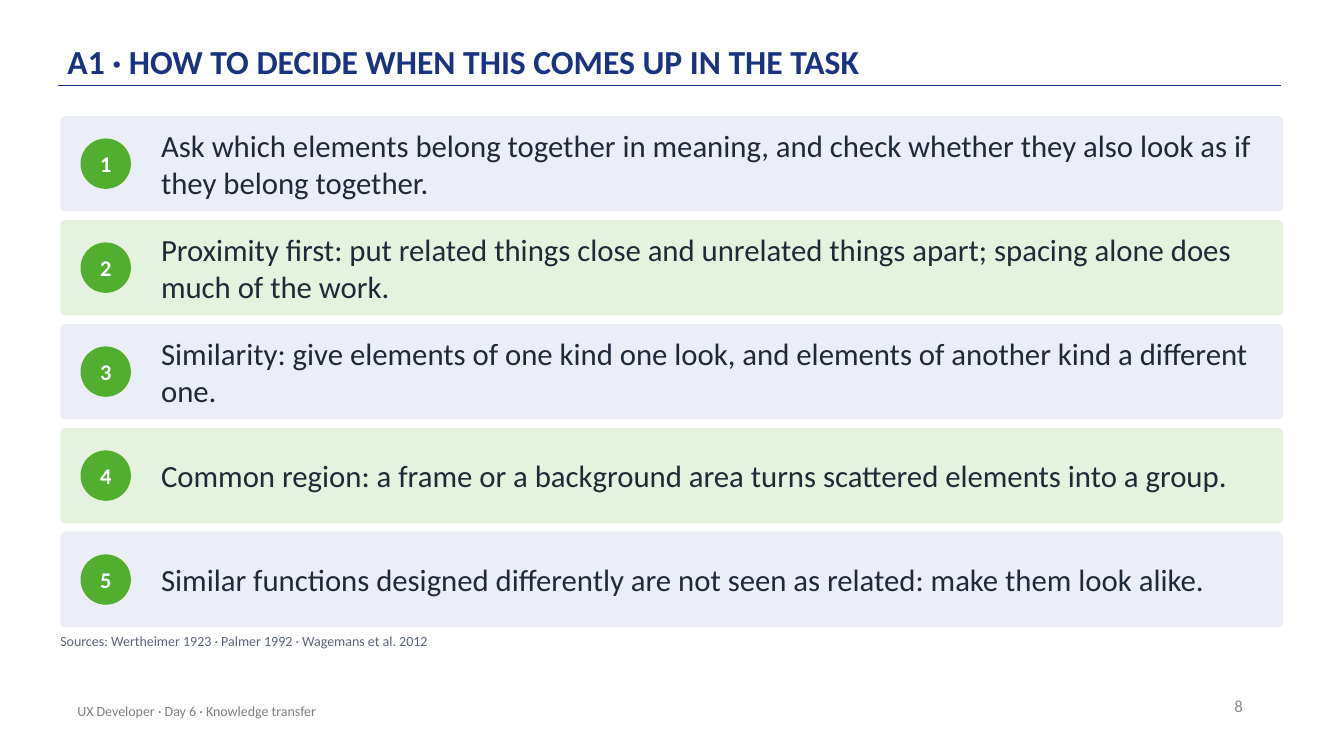
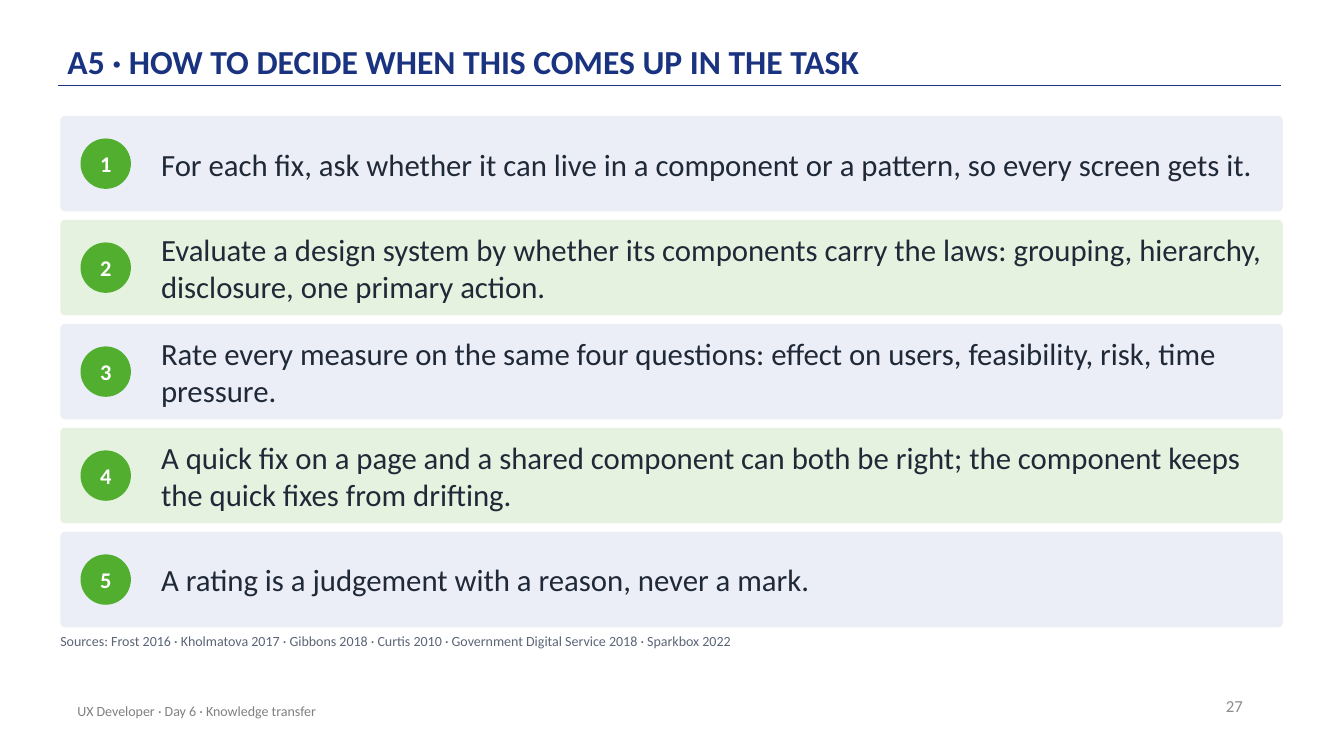
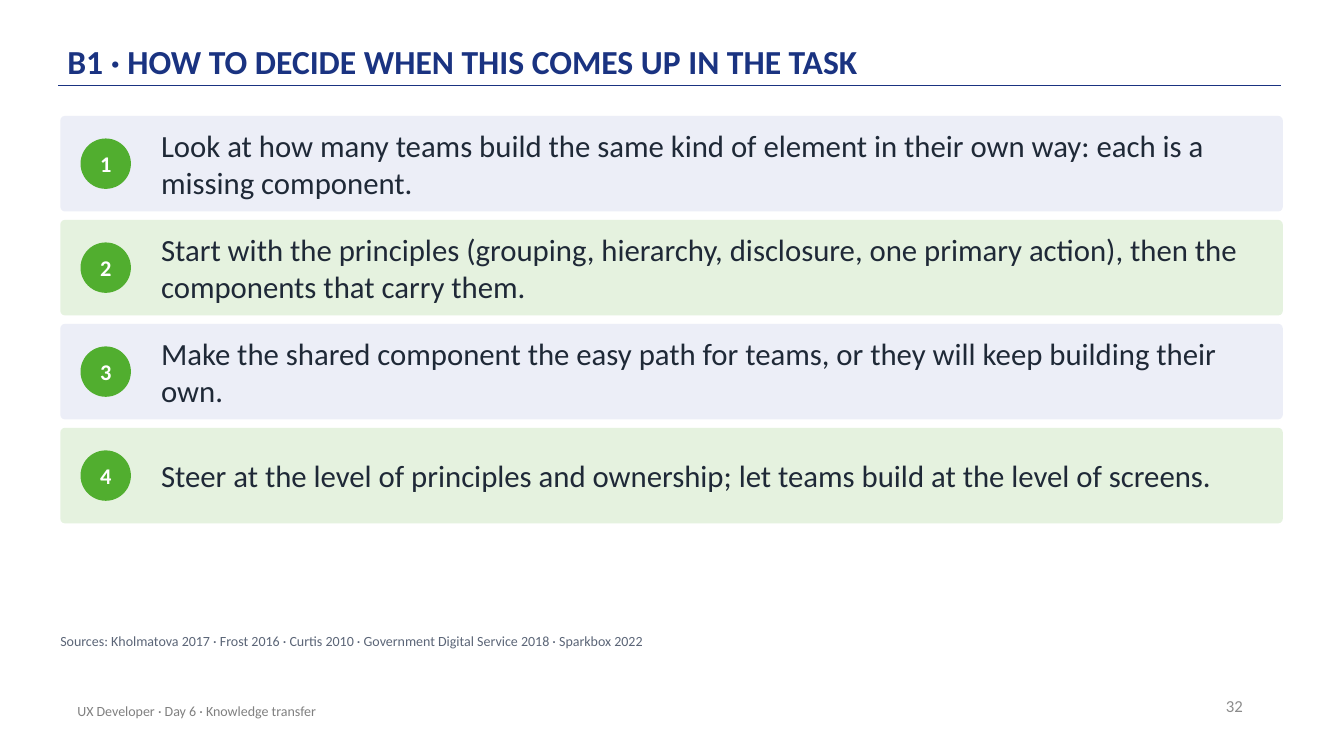
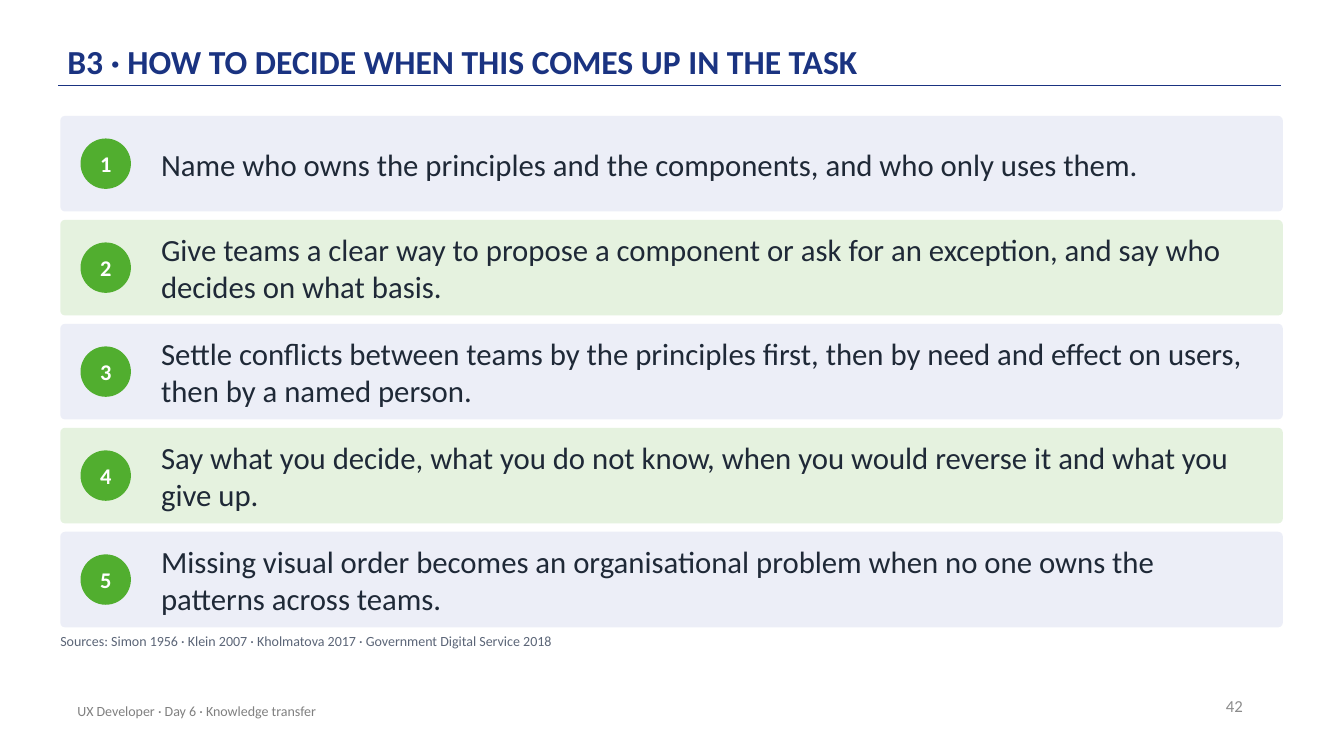
from dataclasses import dataclass

import pptx
import pptx.dml.color
import pptx.enum.shapes
import pptx.enum.text
import pptx.oxml.ns
import pptx.shapes.autoshape
import pptx.slide
import pptx.util
from lxml import etree

Cm = pptx.util.Cm
Pt = pptx.util.Pt
RGBColor = pptx.dml.color.RGBColor
MSO_SHAPE = pptx.enum.shapes.MSO_SHAPE
PP_ALIGN = pptx.enum.text.PP_ALIGN
MSO_ANCHOR = pptx.enum.text.MSO_ANCHOR


@dataclass(frozen=True)
class TextStyle:
    size: int
    color: str
    bold: bool = False
    align: PP_ALIGN = PP_ALIGN.LEFT
    anchor: MSO_ANCHOR = MSO_ANCHOR.MIDDLE
    inset_x: float = 0
    inset_y: float = 0
    line_spacing: float = 1.0


@dataclass(frozen=True)
class Theme:
    font: str = "Calibri"
    rule: str = "1A3381"
    badge: str = "51AE2F"
    bands: tuple[str, ...] = ("ECEEF7", "E5F2DF")
    title: TextStyle = TextStyle(24, "1A3381", bold=True, anchor=MSO_ANCHOR.BOTTOM,
                                 inset_y=0.08, line_spacing=0.9)
    body: TextStyle = TextStyle(22, "1F2937")
    number: TextStyle = TextStyle(16, "FFFFFF", bold=True, align=PP_ALIGN.CENTER)
    sources: TextStyle = TextStyle(10, "5B6577", anchor=MSO_ANCHOR.TOP)
    footer: TextStyle = TextStyle(10, "808080", inset_x=0.25, inset_y=0.13)
    page: TextStyle = TextStyle(12, "8C8C8C", align=PP_ALIGN.RIGHT,
                                inset_x=0.25, inset_y=0.13)


@dataclass(frozen=True)
class Box:
    left: float
    top: float
    width: float
    height: float

    def emu(self) -> tuple[pptx.util.Cm, ...]:
        return Cm(self.left), Cm(self.top), Cm(self.width), Cm(self.height)


@dataclass(frozen=True)
class DecisionSlide:
    code: str
    page: int
    steps: tuple[str, ...]
    sources: str


THEME = Theme()
FOOTER = "UX Developer · Day 6 · Knowledge transfer"
TITLE = "HOW TO DECIDE WHEN THIS COMES UP IN THE TASK"

TITLE_BOX = Box(1.7, 0.3, 27.94, 1.84)
PAGE_BOX = Box(23.95, 17.27, 7.62, 1.02)
FOOTER_BOX = Box(1.7, 17.4, 17.02, 1.02)
SOURCES_BOX = Box(1.52, 15.93, 30.73, 0.76)
RULE_LEFT, RULE_RIGHT, RULE_Y = 1.47, 32.28, 2.16
FIRST_ROW = Box(1.52, 2.92, 30.81, 2.41)
ROW_GAP = 0.21
BADGE_LEFT, BADGE_SIZE = 2.03, 1.27
STEP_LEFT, STEP_WIDTH = 4.06, 27.76

SLIDES = (
    DecisionSlide("A1", 8, (
        "Ask which elements belong together in meaning, and check whether they also look as if they belong together.",
        "Proximity first: put related things close and unrelated things apart; spacing alone does much of the work.",
        "Similarity: give elements of one kind one look, and elements of another kind a different one.",
        "Common region: a frame or a background area turns scattered elements into a group.",
        "Similar functions designed differently are not seen as related: make them look alike.",
    ), "Wertheimer 1923 · Palmer 1992 · Wagemans et al. 2012"),
    DecisionSlide("A5", 27, (
        "For each fix, ask whether it can live in a component or a pattern, so every screen gets it.",
        "Evaluate a design system by whether its components carry the laws: grouping, hierarchy, disclosure, one primary action.",
        "Rate every measure on the same four questions: effect on users, feasibility, risk, time pressure.",
        "A quick fix on a page and a shared component can both be right; the component keeps the quick fixes from drifting.",
        "A rating is a judgement with a reason, never a mark.",
    ), "Frost 2016 · Kholmatova 2017 · Gibbons 2018 · Curtis 2010 · Government Digital Service 2018 · Sparkbox 2022"),
    DecisionSlide("B1", 32, (
        "Look at how many teams build the same kind of element in their own way: each is a missing component.",
        "Start with the principles (grouping, hierarchy, disclosure, one primary action), then the components that carry them.",
        "Make the shared component the easy path for teams, or they will keep building their own.",
        "Steer at the level of principles and ownership; let teams build at the level of screens.",
    ), "Kholmatova 2017 · Frost 2016 · Curtis 2010 · Government Digital Service 2018 · Sparkbox 2022"),
    DecisionSlide("B3", 42, (
        "Name who owns the principles and the components, and who only uses them.",
        "Give teams a clear way to propose a component or ask for an exception, and say who decides on what basis.",
        "Settle conflicts between teams by the principles first, then by need and effect on users, then by a named person.",
        "Say what you decide, what you do not know, when you would reverse it and what you give up.",
        "Missing visual order becomes an organisational problem when no one owns the patterns across teams.",
    ), "Simon 1956 · Klein 2007 · Kholmatova 2017 · Government Digital Service 2018"),
)


def write(sp: pptx.shapes.autoshape.Shape, text: str, style: TextStyle) -> None:
    tf = sp.text_frame
    tf.text = text
    tf.word_wrap = True
    tf.vertical_anchor = style.anchor
    tf.margin_left = tf.margin_right = Cm(style.inset_x)
    tf.margin_top = tf.margin_bottom = Cm(style.inset_y)
    p = tf.paragraphs[0]
    p.alignment = style.align
    p.line_spacing = style.line_spacing
    font = p.runs[0].font
    font.name = THEME.font
    font.size = Pt(style.size)
    font.bold = style.bold
    font.color.rgb = RGBColor.from_string(style.color)


def add_text(s: pptx.slide.Slide, box: Box, text: str, style: TextStyle) -> None:
    write(s.shapes.add_textbox(*box.emu()), text, style)


def add_filled(s: pptx.slide.Slide, kind: MSO_SHAPE, box: Box,
               color: str) -> pptx.shapes.autoshape.Shape:
    sp = s.shapes.add_shape(kind, *box.emu())
    sp.shadow.inherit = False
    sp.fill.solid()
    sp.fill.fore_color.rgb = RGBColor.from_string(color)
    sp.line.fill.background()
    return sp


def add_rule(s: pptx.slide.Slide) -> None:
    line = s.shapes.add_connector(pptx.enum.shapes.MSO_CONNECTOR.STRAIGHT,
                                  Cm(RULE_LEFT), Cm(RULE_Y), Cm(RULE_RIGHT), Cm(RULE_Y))
    line.line.color.rgb = RGBColor.from_string(THEME.rule)
    line.line.width = Pt(1)
    etree.SubElement(line._element.spPr, pptx.oxml.ns.qn("a:effectLst"))


def add_step(s: pptx.slide.Slide, index: int, text: str) -> None:
    height = FIRST_ROW.height
    top = FIRST_ROW.top + index * (height + ROW_GAP)
    band = add_filled(s, MSO_SHAPE.ROUNDED_RECTANGLE,
                      Box(FIRST_ROW.left, top, FIRST_ROW.width, height),
                      THEME.bands[index % len(THEME.bands)])
    band.adjustments[0] = 0.05
    badge_top = top + (height - BADGE_SIZE) / 2
    badge = add_filled(s, MSO_SHAPE.OVAL,
                       Box(BADGE_LEFT, badge_top, BADGE_SIZE, BADGE_SIZE), THEME.badge)
    write(badge, str(index + 1), THEME.number)
    add_text(s, Box(STEP_LEFT, top, STEP_WIDTH, height), text, THEME.body)


def add_decision_slide(prs: pptx.presentation.Presentation, content: DecisionSlide) -> None:
    s = prs.slides.add_slide(prs.slide_layouts[6])
    add_rule(s)
    add_text(s, TITLE_BOX, f"{content.code} · {TITLE}", THEME.title)
    add_text(s, PAGE_BOX, str(content.page), THEME.page)
    add_text(s, FOOTER_BOX, FOOTER, THEME.footer)
    for index, text in enumerate(content.steps):
        add_step(s, index, text)
    add_text(s, SOURCES_BOX, f"Sources: {content.sources}", THEME.sources)


def main() -> None:
    prs = pptx.Presentation()
    prs.slide_width, prs.slide_height = Cm(33.87), Cm(19.05)
    for content in SLIDES:
        add_decision_slide(prs, content)
    prs.save("out.pptx")


if __name__ == "__main__":
    main()
